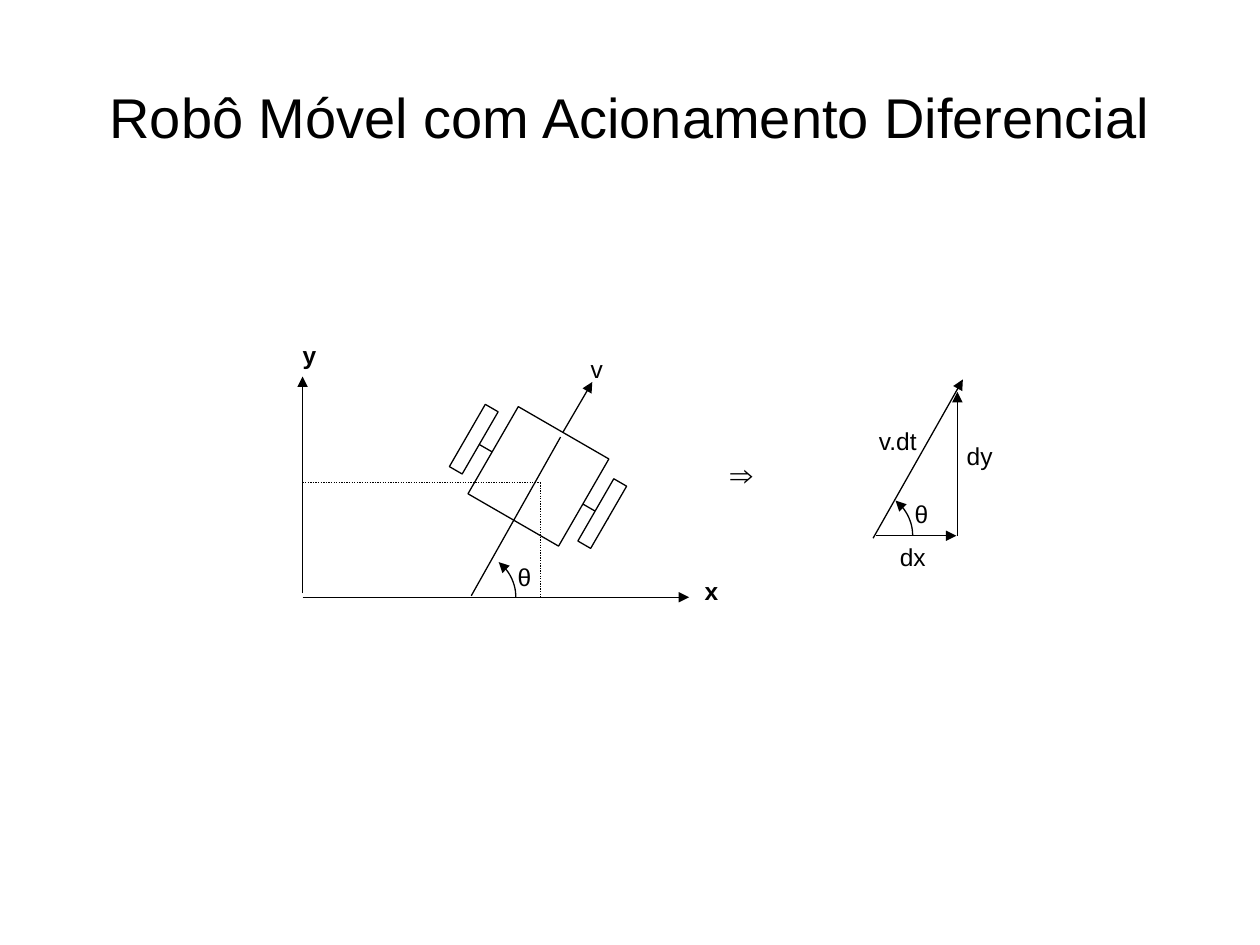
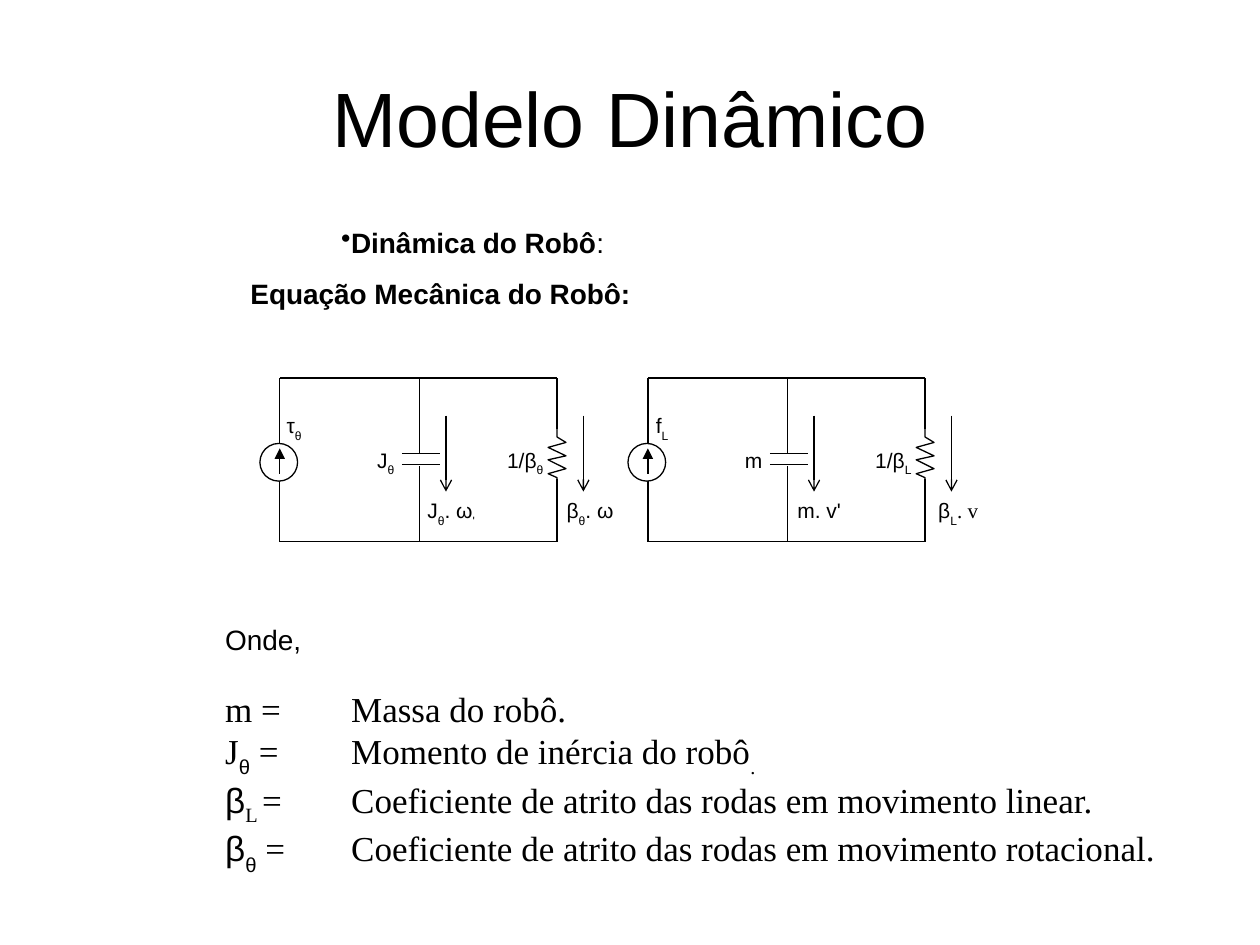
"""Build two slides on the differential-drive robot and its dynamic model."""
from dataclasses import dataclass
from math import cos, radians, sin

from lxml import etree
from pptx import Presentation
from pptx.dml.color import RGBColor
from pptx.enum.dml import MSO_LINE
from pptx.enum.shapes import MSO_CONNECTOR, MSO_SHAPE
from pptx.enum.text import MSO_ANCHOR, MSO_AUTO_SIZE, PP_ALIGN
from pptx.oxml.ns import qn
from pptx.util import Cm, Pt

STRAIGHT = MSO_CONNECTOR.STRAIGHT
RECTANGLE, OVAL = MSO_SHAPE.RECTANGLE, MSO_SHAPE.OVAL
DOTTED = MSO_LINE.ROUND_DOT
MIDDLE, TOP = MSO_ANCHOR.MIDDLE, MSO_ANCHOR.TOP
CENTER, LEFT = PP_ALIGN.CENTER, PP_ALIGN.LEFT
TITLE_ONLY = 5
BLACK, WHITE = "000000", "FFFFFF"
SANS, SERIF = "Arial", "Times New Roman"
LINE_WIDTH = Pt(0.75)
TOP_RAIL, BOTTOM_RAIL = 7.62, 10.92
CAPACITOR_X, RESISTOR_X = 2.82, 5.59


@dataclass(frozen=True)
class Stroke:
    """A straight line from one point to another, in centimetres."""
    x1: float
    y1: float
    x2: float
    y2: float
    arrow: str = ""
    dotted: bool = False


@dataclass(frozen=True)
class Block:
    """A white outlined shape, in centimetres."""
    left: float
    top: float
    width: float
    height: float
    rotation: float = 0
    kind: int = RECTANGLE


@dataclass(frozen=True)
class Span:
    """A stretch of text in one format."""
    text: str
    size: float = 14
    font: str = SANS
    bold: bool = False
    baseline: int = 0


@dataclass(frozen=True)
class Label:
    """A centred caption, in centimetres."""
    left: float
    top: float
    width: float
    spans: tuple


@dataclass(frozen=True)
class Circuit:
    """A source, capacitor and resistor in parallel with their captions."""
    left: float
    source: tuple
    capacitor: tuple
    capacitor_flow: tuple
    resistor: tuple
    resistor_flow: tuple


def color(code: str) -> RGBColor:
    """Turn a hex string into a colour."""
    return RGBColor.from_string(code)


def outline(shape, arrow: str = "", dotted: bool = False) -> None:
    """Give a shape or connector the common line and an optional arrowhead."""
    shape.line.color.rgb = color(BLACK)
    shape.line.width = LINE_WIDTH
    if dotted:
        shape.line.dash_style = DOTTED
    if arrow:
        line = shape._element.spPr.find(qn("a:ln"))
        etree.SubElement(line, qn("a:tailEnd"), type=arrow)


def draw_stroke(page, stroke: Stroke) -> None:
    """Draw a straight connector."""
    ends = (Cm(value) for value in (stroke.x1, stroke.y1, stroke.x2, stroke.y2))
    connector = page.shapes.add_connector(STRAIGHT, *ends)
    outline(connector, stroke.arrow, stroke.dotted)
    etree.SubElement(connector._element.spPr, qn("a:effectLst"))


def draw_block(page, block: Block) -> None:
    """Draw a white shape with a black outline."""
    shape = page.shapes.add_shape(
        block.kind, Cm(block.left), Cm(block.top), Cm(block.width), Cm(block.height))
    shape.rotation = block.rotation
    shape.shadow.inherit = False
    shape.fill.solid()
    shape.fill.fore_color.rgb = color(WHITE)
    outline(shape)


def draw_path(page, points: list, arrow: str = "") -> None:
    """Draw an open unfilled outline through the points."""
    corners = [(Cm(x), Cm(y)) for x, y in points]
    builder = page.shapes.build_freeform(*corners[0])
    builder.add_line_segments(corners[1:], close=False)
    shape = builder.convert_to_shape()
    shape.shadow.inherit = False
    shape.fill.background()
    outline(shape, arrow)


def draw_angle(page, x: float, y: float) -> None:
    """Draw the curved arrow of an angle whose vertex is at x, y."""
    radius, sweep, steps = 0.9, 52, 13
    angles = [radians(sweep * step / steps) for step in range(steps + 1)]
    draw_path(page, [(x + radius * cos(a), y - radius * sin(a)) for a in angles], "triangle")


def write_spans(para, spans: tuple) -> None:
    """Add formatted runs to a paragraph."""
    for span in spans:
        run = para.add_run()
        run.text = span.text
        run.font.name = span.font
        run.font.size = Pt(span.size)
        run.font.bold = span.bold
        run.font.color.rgb = color(BLACK)
        if span.baseline:
            run.font._element.set("baseline", str(span.baseline * 1000))


def add_box(page, left: float, top: float, width: float, height: float):
    """Add a wrapping text box and return its text frame."""
    box = page.shapes.add_textbox(Cm(left), Cm(top), Cm(width), Cm(height))
    frame = box.text_frame
    frame.word_wrap = True
    frame.vertical_anchor = TOP
    return frame


def draw_label(page, label: Label) -> None:
    """Write a centred caption."""
    para = add_box(page, label.left, label.top, label.width, 0.76).paragraphs[0]
    para.alignment = CENTER
    write_spans(para, label.spans)


def add_page(deck, title: str, size: float):
    """Add a title-only slide with its formatted title."""
    page = deck.slides.add_slide(deck.slide_layouts[TITLE_ONLY])
    holder = page.shapes.title
    holder.left, holder.top = Cm(1.27), Cm(0.76)
    holder.width, holder.height = Cm(22.86), Cm(3.18)
    frame = holder.text_frame
    frame.auto_size = MSO_AUTO_SIZE.NONE
    frame.vertical_anchor = MIDDLE
    para = frame.paragraphs[0]
    para.alignment = CENTER
    write_spans(para, (Span(title, size),))
    return page


def build_kinematics(deck) -> None:
    """Draw the robot in its plane beside the displacement triangle."""
    page = add_page(deck, "Robô Móvel com Acionamento Diferencial", 32)
    draw_stroke(page, Stroke(9.4, 8.81, 12.27, 10.46))
    body = Block(9.8, 8.59, 2.11, 2.03, 30)
    wheels = [Block(left, top, 0.3, 1.45, 30) for left, top in ((9.4, 8.13), (11.99, 9.63))]
    for block in (body, *wheels):
        draw_block(page, block)
    strokes = (
        Stroke(6.1, 11.96, 6.1, 7.59, "triangle"),
        Stroke(6.1, 12.04, 13.89, 12.04, "triangle"),
        Stroke(11.35, 8.71, 11.94, 7.7, "triangle"),
        Stroke(6.1, 9.73, 10.9, 9.73, dotted=True),
        Stroke(10.9, 9.73, 10.9, 12.04, dotted=True),
        Stroke(11.3, 8.81, 9.5, 12.01),
        Stroke(17.6, 10.85, 19.41, 7.65, "triangle"),
        Stroke(17.65, 10.8, 19.28, 10.8, "triangle"),
        Stroke(19.3, 10.8, 19.3, 7.9, "triangle"),
    )
    for stroke in strokes:
        draw_stroke(page, stroke)
    for vertex in ((9.5, 12.04), (17.5, 10.8)):
        draw_angle(page, *vertex)
    labels = (
        Label(9.98, 11.2, 1.19, (Span("θ"),)),
        Label(13.59, 11.48, 1.5, (Span("x", bold=True),)),
        Label(5.49, 6.73, 1.5, (Span("y", bold=True),)),
        Label(13.89, 9.04, 2.11, (Span("⇒", 18),)),
        Label(17.98, 9.93, 1.19, (Span("θ"),)),
        Label(17.5, 10.8, 1.8, (Span("dx"),)),
        Label(19, 8.76, 1.5, (Span("dy"),)),
        Label(17.2, 8.46, 1.8, (Span("v.dt"),)),
        Label(11.13, 7.01, 1.8, (Span("v"),)),
    )
    for label in labels:
        draw_label(page, label)


def draw_circuit(page, circuit: Circuit) -> None:
    """Draw one equivalent circuit."""
    left = circuit.left
    capacitor, resistor = left + CAPACITOR_X, left + RESISTOR_X
    strokes = [Stroke(left, y, resistor, y) for y in (TOP_RAIL, BOTTOM_RAIL)]
    strokes += [Stroke(capacitor - 0.36, y, capacitor + 0.41, y) for y in (9.14, 9.37)]
    strokes += [Stroke(left + x, 8.38, left + x, 9.91, "arrow") for x in (3.35, 6.12)]
    strokes += [
        Stroke(left, TOP_RAIL, left, BOTTOM_RAIL),
        Stroke(capacitor, TOP_RAIL, capacitor, 9.14),
        Stroke(capacitor, 9.4, capacitor, BOTTOM_RAIL),
        Stroke(resistor, TOP_RAIL, resistor, 8.64),
        Stroke(resistor, 9.65, resistor, BOTTOM_RAIL),
    ]
    for stroke in strokes:
        draw_stroke(page, stroke)
    draw_block(page, Block(left - 0.4, 8.94, 0.76, 0.76, kind=OVAL))
    draw_stroke(page, Stroke(left, 9.55, left, 9.04, "triangle"))
    swings = (0, 0, 1, -1, 1, -1, 1, -1, 0, 0)
    heights = (8.64, 8.81, 8.92, 9.02, 9.19, 9.27, 9.45, 9.55, 9.63, 9.73)
    draw_path(page, [(resistor + 0.18 * swing, y) for swing, y in zip(swings, heights)])
    labels = (
        Label(left - 0.23, 8.2, 1.04, circuit.source),
        Label(left + 1.5, 8.89, 1.27, circuit.capacitor),
        Label(left + 2.31, 9.91, 2.29, circuit.capacitor_flow),
        Label(left + 4.06, 8.89, 1.78, circuit.resistor),
        Label(left + 5.11, 9.91, 2.29, circuit.resistor_flow),
    )
    for label in labels:
        draw_label(page, label)


def write_headings(page) -> None:
    """Write the bulleted topic and the subheading above the circuits."""
    frame = add_box(page, 4.8, 4.42, 9, 2)
    topic = frame.paragraphs[0]
    properties = topic._p.get_or_add_pPr()
    properties.set("marL", str(Cm(1.83)))
    properties.set("indent", "0")
    etree.SubElement(properties, qn("a:buChar"), char="•")
    write_spans(topic, (Span("Dinâmica do Robô", 16, bold=True), Span(":", 16)))
    subheading = frame.add_paragraph()
    subheading.space_before = Pt(10)
    write_spans(subheading, (Span("Equação Mecânica do Robô:", 16, bold=True),))


def write_legend(page) -> None:
    """Write the meaning of each symbol."""
    frame = add_box(page, 4.29, 12.42, 20.02, 5.4)
    write_spans(frame.paragraphs[0], (Span("Onde,", 16),))
    theta = Span("θ", 20, baseline=-30)
    beta = Span("β", 20)
    rows = (
        (Span("m = \tMassa do robô.", 20, SERIF),),
        (Span("J", 20, SERIF), theta, Span(" = \tMomento de inércia do robô", 20, SERIF),
         Span(".", 20, SERIF, baseline=-30)),
        (beta, Span("L ", 20, SERIF, baseline=-25),
         Span("= \tCoeficiente de atrito das rodas em movimento linear.", 20, SERIF)),
        (beta, theta,
         Span(" = \tCoeficiente de atrito das rodas em movimento rotacional.", 20, SERIF)),
    )
    for index, spans in enumerate(rows):
        para = frame.add_paragraph()
        para.alignment = LEFT
        para.space_before = Pt(0 if index else 18)
        tabs = etree.SubElement(para._p.get_or_add_pPr(), qn("a:tabLst"))
        etree.SubElement(tabs, qn("a:tab"), pos=str(Cm(2.54)), algn="l")
        write_spans(para, spans)


def build_dynamics(deck) -> None:
    """Draw the rotational and linear circuits with their legend."""
    page = add_page(deck, "Modelo Dinâmico", 44)
    theta, linear = Span("θ", 12, baseline=-30), Span("L", 12, baseline=-30)
    inertia, friction, inverse = Span("J", 12), Span("β", 12), Span("1/β", 12)
    omega = Span(". ω", 12)
    rotational_circuit = Circuit(
        5.64, (Span("τ", 12), theta), (inertia, theta),
        (inertia, theta, omega, Span("'", 12, baseline=-30)),
        (inverse, theta), (friction, theta, omega))
    linear_circuit = Circuit(
        13.06, (Span("f", 12), linear), (Span("m", 12),), (Span("m. v'", 12),),
        (inverse, linear), (friction, linear, Span(". v", 12, SERIF)))
    for circuit in (rotational_circuit, linear_circuit):
        draw_circuit(page, circuit)
    write_headings(page)
    write_legend(page)


def main() -> None:
    """Build and save the deck."""
    deck = Presentation()
    deck.slide_width, deck.slide_height = Cm(25.4), Cm(19.05)
    build_kinematics(deck)
    build_dynamics(deck)
    deck.save("out.pptx")


if __name__ == "__main__":
    main()
